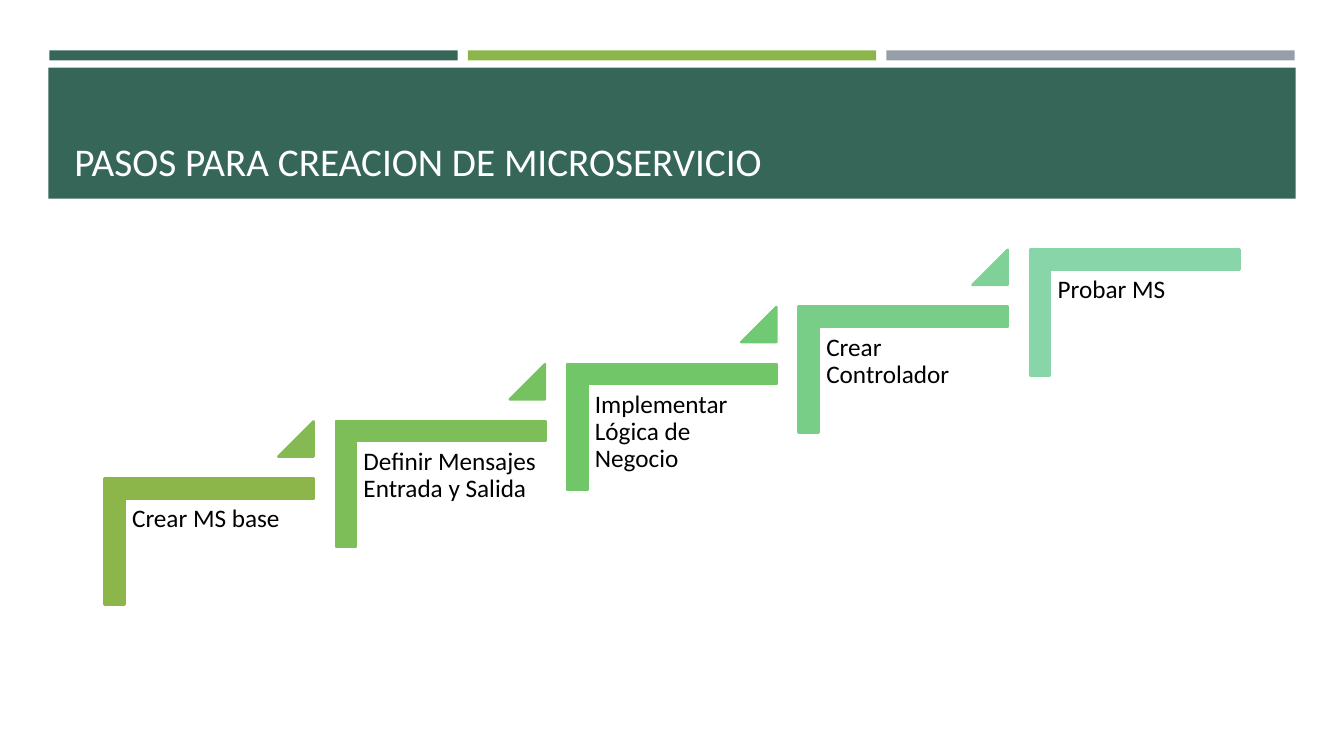
"""Build the slide showing the steps for creating a microservice as a staircase."""
import pptx
import pptx.dml.color
import pptx.enum.shapes
import pptx.enum.text
import pptx.util

TITLE = "PASOS PARA CREACION DE MICROSERVICIO"
STEPS = [
    ("Crear MS base", "8CB64A", "84BA51"),
    ("Definir Mensajes Entrada y Salida", "7DBE59", "76C261"),
    ("Implementar Lógica de Negocio", "71C668", "70CA74"),
    ("Crear Controlador", "78CE86", "80D198"),
    ("Probar MS", "88D5A9", None),
]
BAR_COLORS = ["366658", "8CB64A", "969FA7"]
FONT = "Calibri"
BAR_LEFT, BAR_PITCH = 0.49, 4.15
FIRST_LEFT, LAST_LEFT = 1.45, 10.63
FIRST_TOP, LAST_TOP = 4.33, 2.06

Inches = pptx.util.Inches
Pt = pptx.util.Pt
SHAPE = pptx.enum.shapes.MSO_SHAPE
ANCHOR = pptx.enum.text.MSO_ANCHOR


def paint(target, color):
    target.solid()
    target.fore_color.rgb = pptx.dml.color.RGBColor.from_string(color)


def add_block(slide, kind, box, color, outlined=False):
    block = slide.shapes.add_shape(kind, *map(Inches, box))
    block.shadow.inherit = False
    paint(block.fill, color)
    if outlined:
        paint(block.line.fill, color)
        block.line.width = Pt(1.75)
    else:
        block.line.fill.background()
    return block


def add_label(slide, box, words, size, color, insets, anchor):
    label = slide.shapes.add_textbox(*map(Inches, box))
    frame = label.text_frame
    frame.word_wrap = True
    frame.vertical_anchor = anchor
    frame.margin_left = frame.margin_right = Inches(insets[0])
    frame.margin_top = frame.margin_bottom = Inches(insets[1])
    run = frame.paragraphs[0].add_run()
    run.text = words
    run.font.name = FONT
    run.font.size = Pt(size)
    paint(run.font.fill, color)
    return frame.paragraphs[0]


def main():
    deck = pptx.Presentation()
    deck.slide_width, deck.slide_height = Inches(13.33), Inches(7.5)
    slide = deck.slides.add_slide(deck.slide_layouts[6])

    for column, color in enumerate(BAR_COLORS):
        bar_left = BAR_LEFT + column * BAR_PITCH
        add_block(slide, SHAPE.RECTANGLE, (bar_left, 0.5, 4.05, 0.1), color)
    add_block(slide, SHAPE.RECTANGLE, (0.48, 0.67, 12.37, 1.3), BAR_COLORS[0])
    add_label(slide, (0.64, 0.77, 12.06, 1.11), TITLE, 28, "FFFFFF",
              (0.1, 0.05), ANCHOR.BOTTOM)

    stride = (LAST_LEFT - FIRST_LEFT) / (len(STEPS) - 1)
    rise = (FIRST_TOP - LAST_TOP) / (len(STEPS) - 1)
    for position, (words, step_color, marker_color) in enumerate(STEPS):
        left = FIRST_LEFT + position * stride
        top = FIRST_TOP - position * rise
        corner = add_block(slide, SHAPE.CORNER, (left, top, 1.25, 2.08),
                           step_color, outlined=True)
        corner.rotation = 90
        corner.adjustments[0] = corner.adjustments[1] = 0.16
        paragraph = add_label(slide, (left - 0.21, top + 0.62, 1.88, 1.64),
                              words, 18, "000000", (0.07, 0.07), ANCHOR.TOP)
        paragraph.line_spacing = 0.9
        if marker_color:
            marker = add_block(slide, SHAPE.ISOSCELES_TRIANGLE,
                               (left + 1.31, top - 0.15, 0.35, 0.35),
                               marker_color, outlined=True)
            marker.adjustments[0] = 1

    deck.save("out.pptx")


if __name__ == "__main__":
    main()
